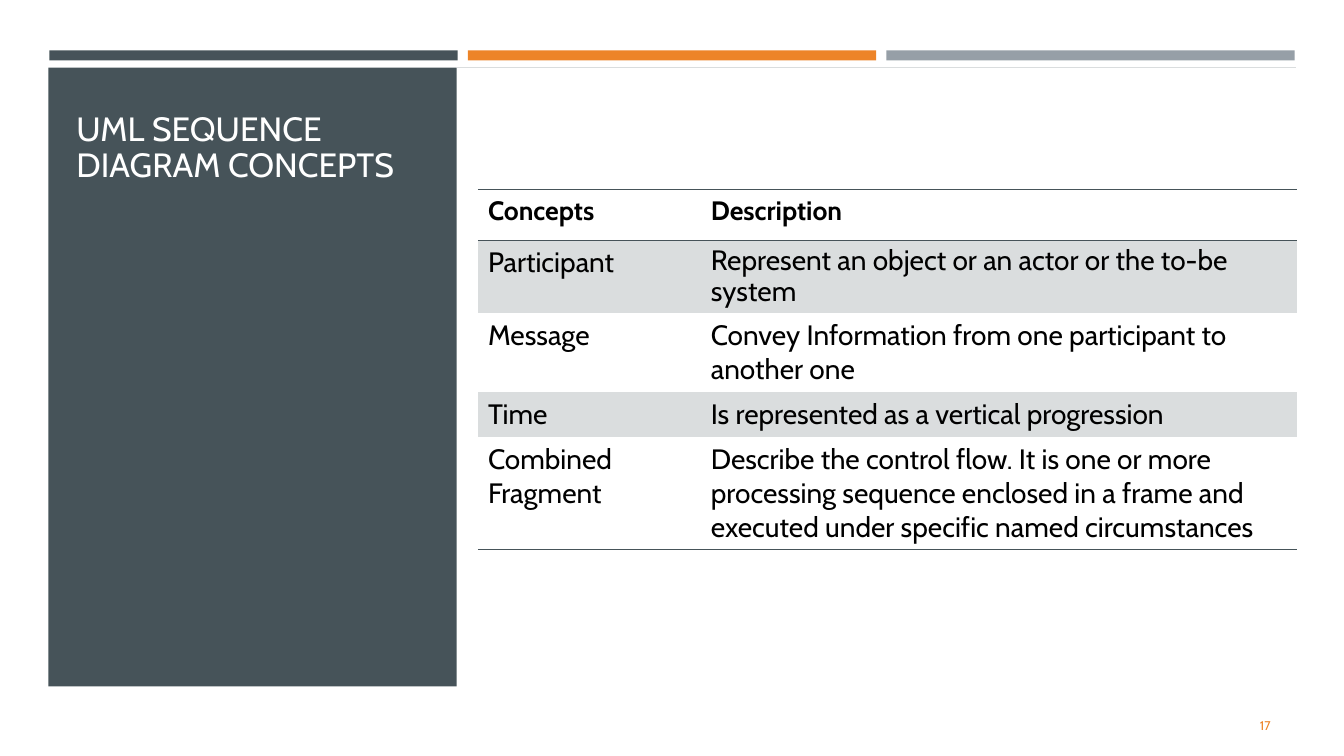
from lxml.etree import SubElement
from pptx import Presentation
from pptx.dml.color import RGBColor
from pptx.enum.shapes import MSO_CONNECTOR, MSO_SHAPE
from pptx.enum.text import MSO_ANCHOR as ANCHOR, PP_ALIGN as ALIGN
from pptx.oxml.ns import qn
from pptx.util import Inches, Pt

SLATE = RGBColor(0x46, 0x53, 0x59)
ORANGE = RGBColor(0xED, 0x84, 0x28)
GREY = RGBColor(0x96, 0x9F, 0xA7)
PALE = RGBColor(0xDA, 0xDD, 0xDE)
WHITE = RGBColor(0xFF, 0xFF, 0xFF)
BLACK = RGBColor(0, 0, 0)
NO_GRID_STYLE = "{2D5ABB26-0587-4C30-8999-92F81FD0307C}"

CONCEPTS = [
    ("Concepts", "Description"),
    ("Participant", "Represent an object or an actor or the to-be system"),
    ("Message", "Convey Information from one participant to another one"),
    ("Time", "Is represented as a vertical progression"),
    ("Combined Fragment",
     "Describe the control flow. It is one or more processing sequence "
     "enclosed in a frame and executed under specific named circumstances"),
]
COLUMN_WIDTHS = [2.21, 5.91]
ROW_HEIGHTS = [0.51, 0.72, 0.78, 0.45, 1.11]


class SlideBuilder:
    font = "Cabin"

    def __init__(self, slide):
        self.slide = slide

    def style(self, p, size, color, bold=False):
        p.font.name = self.font
        p.font.size = Pt(size)
        p.font.color.rgb = color
        p.font.bold = bold

    def bar(self, x, y, w, h, color):
        sp = self.slide.shapes.add_shape(
            MSO_SHAPE.RECTANGLE, Inches(x), Inches(y), Inches(w), Inches(h))
        sp.shadow.inherit = False
        sp.fill.solid()
        sp.fill.fore_color.rgb = color
        sp.line.fill.background()

    def rule(self, x1, x2, y, color):
        line = self.slide.shapes.add_connector(
            MSO_CONNECTOR.STRAIGHT, Inches(x1), Inches(y), Inches(x2), Inches(y))
        line.line.color.rgb = color
        line.line.width = Pt(0.5)
        SubElement(line._element.spPr, qn("a:effectLst"))

    def text(self, x, y, w, h, text, size, color, anchor):
        box = self.slide.shapes.add_textbox(
            Inches(x), Inches(y), Inches(w), Inches(h))
        tf = box.text_frame
        tf.word_wrap = True
        tf.vertical_anchor = anchor
        p = tf.paragraphs[0]
        p.text = text
        self.style(p, size, color)
        return p

    def cell_border(self, cell, side):
        """Draw a 1 pt slate line; side is lnT or lnB."""
        ln = SubElement(cell._tc.get_or_add_tcPr(), qn(f"a:{side}"), w=str(Pt(1)))
        fill = SubElement(ln, qn("a:solidFill"))
        SubElement(fill, qn("a:srgbClr"), val=str(SLATE))

    def table(self, x, y, rows, widths, heights):
        table = self.slide.shapes.add_table(
            len(rows), len(widths), Inches(x), Inches(y),
            Inches(sum(widths)), Inches(sum(heights))).table
        table.horz_banding = False
        table._tbl.tblPr.find(qn("a:tableStyleId")).text = NO_GRID_STYLE
        for column, width in zip(table.columns, widths):
            column.width = Inches(width)
        for i, (row, height) in enumerate(zip(rows, heights)):
            table.rows[i].height = Inches(height)
            header = i == 0
            for j, text in enumerate(row):
                cell = table.cell(i, j)
                p = cell.text_frame.paragraphs[0]
                p.text = text
                self.style(p, 19 if header else 20, BLACK, bold=header)
                if header:
                    self.cell_border(cell, "lnT")
                if header or i == len(rows) - 1:
                    self.cell_border(cell, "lnB")
                if i % 2:
                    cell.fill.solid()
                    cell.fill.fore_color.rgb = PALE
                else:
                    cell.fill.background()
        return table


def main():
    prs = Presentation()
    prs.slide_width, prs.slide_height = Inches(13.33), Inches(7.5)
    s = SlideBuilder(prs.slides.add_slide(prs.slide_layouts[6]))

    for i, color in enumerate([SLATE, ORANGE, GREY]):
        s.bar(0.49 + 4.15 * i, 0.5, 4.05, 0.1, color)
    s.rule(4.53, 12.85, 0.67, PALE)
    s.bar(0.48, 0.67, 4.05, 6.14, SLATE)

    title = s.text(0.66, 0.77, 3.73, 1.11, "UML SEQUENCE DIAGRAM CONCEPTS",
                   24, WHITE, ANCHOR.BOTTOM)
    title.line_spacing = 0.9
    number = s.text(11.55, 7, 1.15, 0.4, "17", 9, ORANGE, ANCHOR.MIDDLE)
    number.alignment = ALIGN.RIGHT
    number.space_after = Pt(6)

    table = s.table(4.74, 1.88, CONCEPTS, COLUMN_WIDTHS, ROW_HEIGHTS)
    table.cell(1, 1).text_frame.paragraphs[0].line_spacing = 0.9

    prs.save("out.pptx")


if __name__ == "__main__":
    main()
